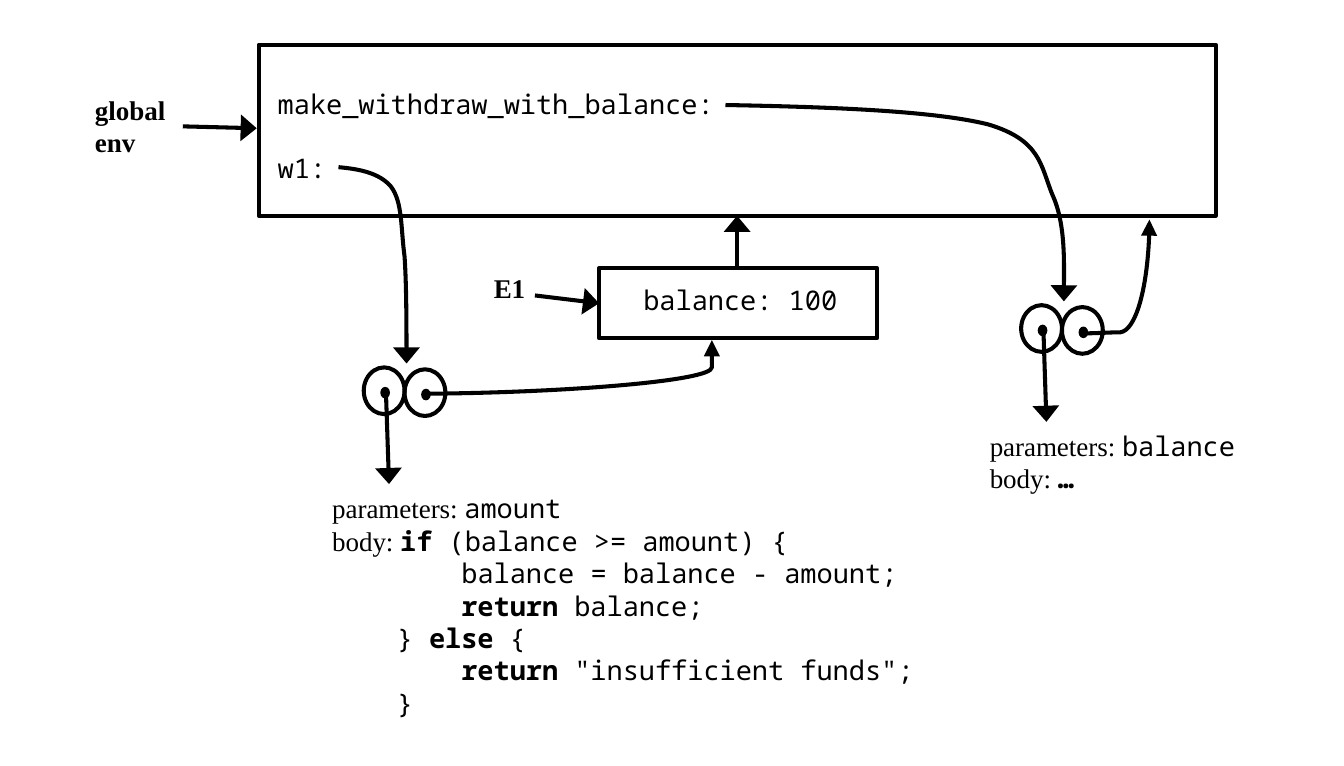
from dataclasses import dataclass

from lxml.etree import SubElement
from pptx import Presentation
from pptx.dml.color import RGBColor
from pptx.enum.shapes import MSO_CONNECTOR as Connector, MSO_SHAPE as Preset
from pptx.oxml.ns import qn
from pptx.util import Inches, Pt


@dataclass(frozen=True)
class Theme:
    ink: RGBColor = RGBColor(0, 0, 0)
    text_size: Pt = Pt(10)
    stroke: Pt = Pt(1.5)
    code_font: str = "Noto Sans Mono"
    label_font: str = "Times New Roman"


THEME = Theme()
COLUMNS, ROWS = 69.1, 39.4  # the slide, in grid cells


def cells(count):
    """Length of a number of square grid cells."""
    return Inches(count / 10)


def label(text):
    return text, THEME.label_font, False


def code(text, bold=False):
    return text, THEME.code_font, bold


def add_text(slide, lines, left, top, width, height):
    """Each line is a list of (text, font, bold) runs."""
    box = slide.shapes.add_textbox(*map(cells, (left, top, width, height)))
    frame = box.text_frame
    frame.word_wrap = True
    for index, runs in enumerate(lines):
        paragraph = frame.paragraphs[0] if index == 0 else frame.add_paragraph()
        for text, font_name, bold in runs:
            run = paragraph.add_run()
            run.text = text
            run.font.name = font_name
            run.font.bold = bold
            run.font.size = THEME.text_size
            run.font.color.rgb = THEME.ink


def add_outline(slide, preset, left, top, width, height, filled=False):
    shape = slide.shapes.add_shape(preset, *map(cells, (left, top, width, height)))
    shape.shadow.inherit = False
    if filled:
        shape.fill.solid()
        shape.fill.fore_color.rgb = THEME.ink
        shape.line.fill.background()
    else:
        shape.fill.background()
        draw_stroke(shape)


def draw_stroke(shape, arrow_width=None):
    shape.line.color.rgb = THEME.ink
    shape.line.width = THEME.stroke
    if arrow_width:
        outline = shape.element.spPr.find(qn("a:ln"))
        SubElement(outline, qn("a:tailEnd"), type="triangle", w=arrow_width, len="med")


def add_arrow(slide, start, end):
    ends = map(cells, (*start, *end))
    arrow = slide.shapes.add_connector(Connector.STRAIGHT, *ends)
    draw_stroke(arrow, "lg")
    SubElement(arrow.element.spPr, qn("a:effectLst"))


def add_curve(slide, start, points, arrow_width="lg"):
    """Every three points are two handles and the end of a Bézier segment."""
    builder = slide.shapes.build_freeform(*map(cells, start))
    builder.add_line_segments([tuple(map(cells, point)) for point in points], close=False)
    curve = builder.convert_to_shape()
    curve.shadow.inherit = False
    curve.fill.background()
    draw_stroke(curve, arrow_width)
    # Turn each group of three straight steps into one cubic segment
    outline = curve.element.find(".//" + qn("a:path"))
    steps = outline.findall(qn("a:lnTo"))
    for first in range(0, len(steps), 3):
        segment = SubElement(outline, qn("a:cubicBezTo"))
        for step in steps[first:first + 3]:
            segment.append(step[0])
            outline.remove(step)


def add_procedure(slide, left, top):
    """A pair of circles, whose left dot points down to the code."""
    for shift, drop in ((0, 0), (2.1, 0.1)):
        x, y = left + shift, top + drop
        add_outline(slide, Preset.OVAL, x, y, 2.1, 2.4)
        add_outline(slide, Preset.OVAL, x + 0.85, y + 1, 0.5, 0.6, filled=True)
    add_arrow(slide, (left + 1.15, top + 1.4), (left + 1.3, top + 6))


def main():
    presentation = Presentation()
    presentation.slide_width = cells(COLUMNS)
    presentation.slide_height = cells(ROWS)
    slide = presentation.slides.add_slide(presentation.slide_layouts[6])

    # Environment frames
    add_outline(slide, Preset.RECTANGLE, 13.3, 2.3, 49.2, 8.8)
    add_outline(slide, Preset.RECTANGLE, 30.8, 13.8, 14.3, 3.6)
    add_arrow(slide, (37.9, 13.8), (37.9, 11.1))

    # Bindings inside the frames
    for binding, left, top in (
        ("make_withdraw_with_balance:", 13.3, 4),
        ("w1:", 13.3, 7.3),
        ("balance: 100", 32.1, 14.1),
    ):
        add_text(slide, [[code(binding)]], left, top, 25.3, 2.7)

    # Frame names
    for words, box, start, end in (
        (("global", "env"), (3.9, 4.3, 6, 4.4), (9.4, 6.5), (13.2, 6.6)),
        (("E1",), (24.4, 13.5, 5.5, 2.7), (27.5, 15.2), (30.8, 15.6)),
    ):
        add_text(slide, [[(word, THEME.label_font, True)] for word in words], *box)
        add_arrow(slide, start, end)

    # Procedure objects
    add_procedure(slide, 52.5, 15.7)
    add_procedure(slide, 18.7, 18.9)

    # From the bindings to their procedures
    add_curve(slide, (37.3, 5.4), [
        (42.7, 5.5), (48, 5.7), (50.8, 6.4),
        (53.5, 7.2), (53.5, 8.5), (54.1, 10),
        (54.8, 11.5), (54.7, 15.5), (54.7, 15.5)])
    add_curve(slide, (17.4, 8.6), [
        (18.5, 8.7), (19.5, 8.9), (20.1, 9.6),
        (20.7, 10.4), (20.6, 11.7), (20.8, 13.2),
        (20.9, 14.7), (20.9, 18.7), (20.9, 18.7)])

    # From the procedures to their enclosing frames
    add_curve(slide, (55.8, 17.15), [
        (56.4, 17.15), (57, 17.1), (57.6, 17.1),
        (58.4, 17), (59.1, 14.5), (59.1, 11.3)], "med")
    add_curve(slide, (21.9, 20.25), [
        (29, 20.2), (36.6, 19.6), (36.6, 18.9),
        (36.6, 18.5), (36.6, 18), (36.6, 17.5)], "med")

    # Parameters and bodies
    add_text(slide, [
        [label("parameters: "), code("balance")],
        [label("body: "), code("…", True)],
    ], 49.9, 21.6, 14.8, 4.4)
    add_text(slide, [
        [label("parameters: "), code("amount")],
        [label("body: "), code("if", True), code(" (balance >= amount) {")],
        [code("        balance = balance - amount;")],
        [code("        "), code("return", True), code(" balance;")],
        [code("    } "), code("else", True), code(" {")],
        [code("        "), code("return", True), code(' "insufficient funds";')],
        [code("    }")],
    ], 16.1, 24.8, 32.3, 12.8)

    presentation.save("out.pptx")


if __name__ == "__main__":
    main()
